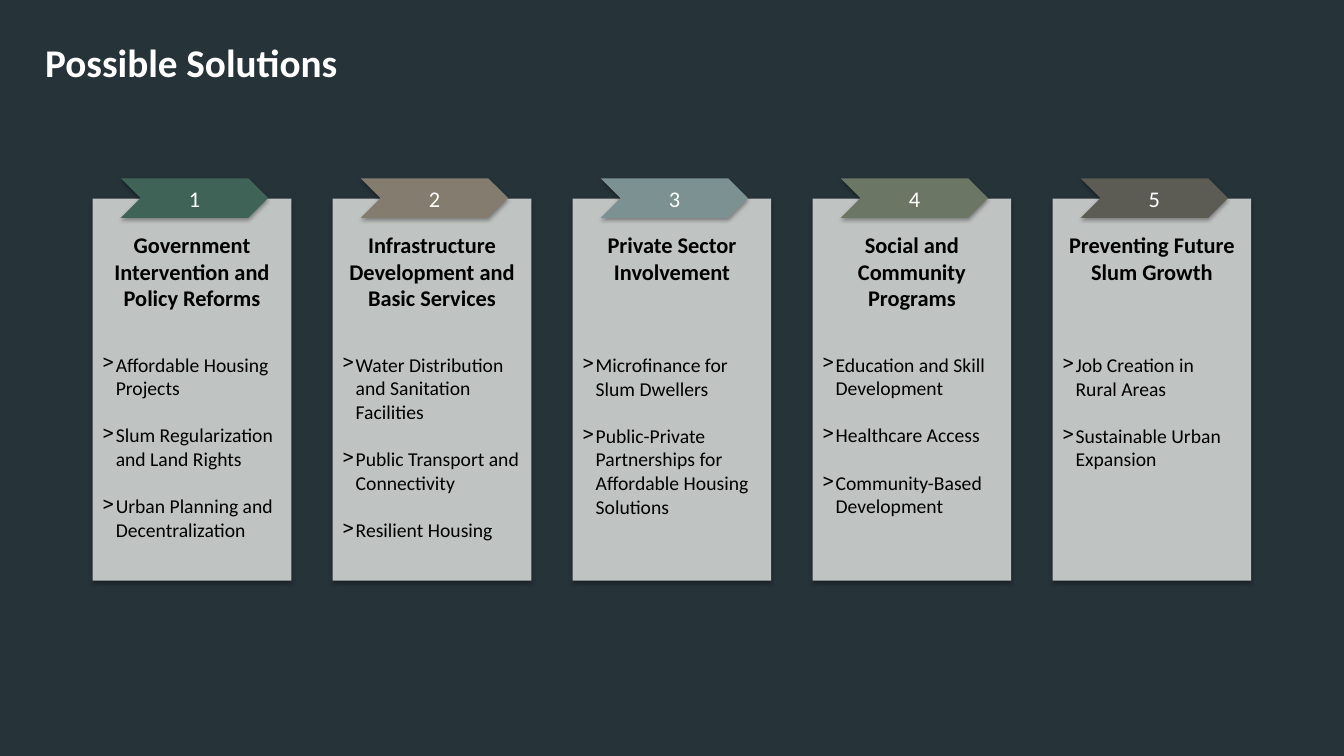
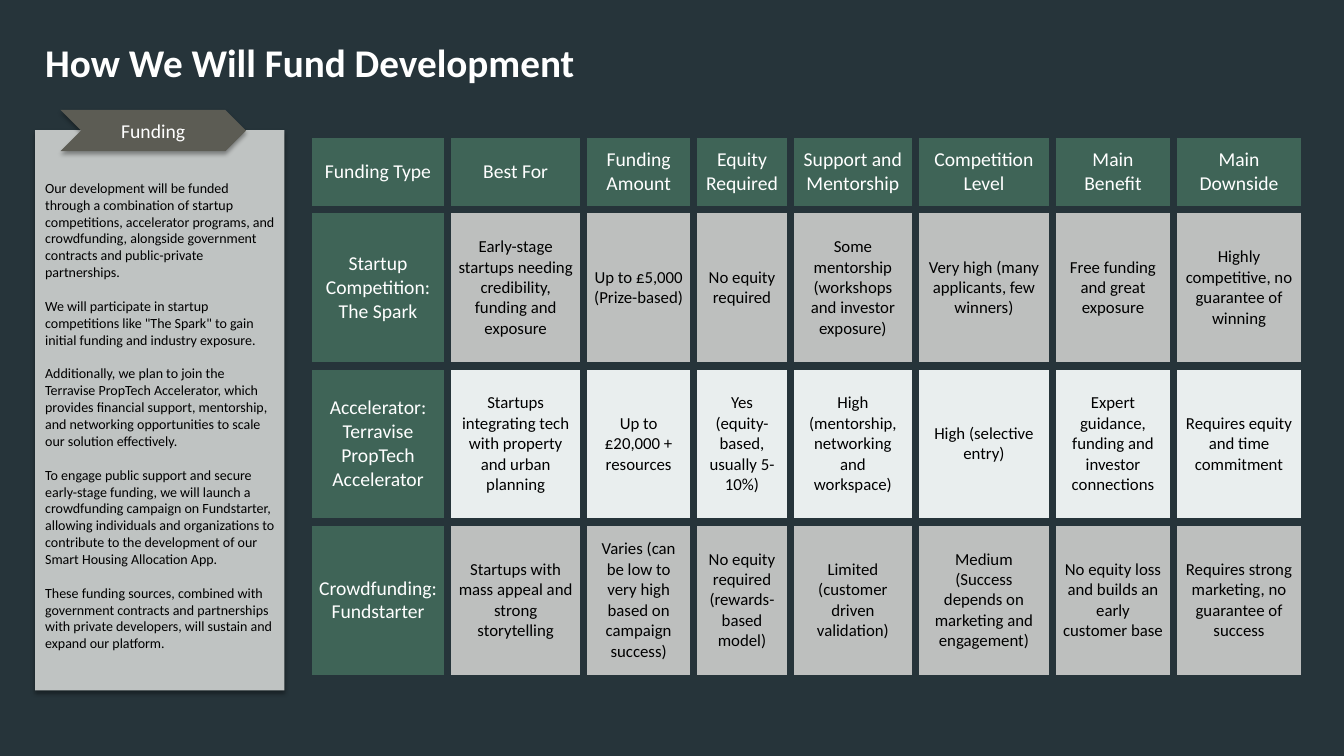
from lxml import etree
from pptx import Presentation
from pptx.dml.color import RGBColor
from pptx.enum import shapes, text
from pptx.oxml import parse_xml
from pptx.oxml.ns import nsdecls, qn
from pptx.util import Inches, Pt

FONT = "Calibri"
DARK, WHITE, BLACK = "26343A", "FFFFFF", "000000"
PANEL, GREEN, STONE = "BFC3C2", "3F6457", "5C5C54"
CENTER, LEFT = text.PP_ALIGN.CENTER, text.PP_ALIGN.LEFT
TOP, MIDDLE = text.MSO_ANCHOR.TOP, text.MSO_ANCHOR.MIDDLE
RECT, CHEVRON = shapes.MSO_SHAPE.RECTANGLE, shapes.MSO_SHAPE.CHEVRON


def write(tf, lines, size=14, color=BLACK, bold=False, align=CENTER, lead=0, gap=0, bullet=None):
    """Add paragraphs: lead is the space before the first, gap before the others (points)."""
    for i, line in enumerate(lines):
        p = tf.add_paragraph() if tf.text else tf.paragraphs[0]
        p.text = line
        p.alignment = align
        p.space_before = Pt(gap if i else lead)
        if bullet:
            pPr = p._p.get_or_add_pPr()
            pPr.set("marL", str(Inches(0.13)))
            pPr.set("indent", str(-Inches(0.13)))
            etree.SubElement(pPr, qn("a:buChar")).set("char", bullet)
        for r in p.runs:
            r.font.name, r.font.size, r.font.bold = FONT, Pt(size), bold
            r.font.color.rgb = RGBColor.from_string(color)


def shadowed(s, kind, x, y, w, h, fill, anchor=MIDDLE, inset=0.05):
    """Add a borderless shape with a soft shadow below it and return its text frame."""
    sp = s.shapes.add_shape(kind, Inches(x), Inches(y), Inches(w), Inches(h))
    sp.fill.solid()
    sp.fill.fore_color.rgb = RGBColor.from_string(fill)
    sp.line.fill.background()
    sp.shadow.inherit = False
    sp._element.spPr.find(qn("a:effectLst")).append(parse_xml(
        f'<a:outerShdw {nsdecls("a")} blurRad="{Pt(3.1)}" dist="{Pt(1.8)}" dir="5400000" '
        f'rotWithShape="0"><a:srgbClr val="{BLACK}"><a:alpha val="35000"/></a:srgbClr></a:outerShdw>'))
    tf = sp.text_frame
    tf.word_wrap = True
    tf.vertical_anchor = anchor
    tf.margin_top = Inches(inset)
    return tf


prs = Presentation()
prs.slide_width, prs.slide_height = Inches(13.33), Inches(7.5)
master_fill = prs.slide_master.background.fill
master_fill.solid()
master_fill.fore_color.rgb = RGBColor.from_string(DARK)

for title in ("Possible Solutions", "How We Will Fund Development"):
    s = prs.slides.add_slide(prs.slide_layouts[6])
    tf = s.shapes.add_textbox(Inches(0.35), Inches(0.33), Inches(5.79), Inches(0.57)).text_frame
    tf.word_wrap = True
    write(tf, [title], size=28, color=WHITE, bold=True, align=LEFT)
solutions, funding = prs.slides

# Solutions: heading, number of lines it takes, tab colour, points
cards = [
    ("Government Intervention and Policy Reforms", 3, GREEN,
     ["Affordable Housing Projects", "Slum Regularization and Land Rights",
      "Urban Planning and Decentralization"]),
    ("Infrastructure Development and Basic Services", 3, "847C6F",
     ["Water Distribution and Sanitation Facilities", "Public Transport and Connectivity",
      "Resilient Housing"]),
    ("Private Sector Involvement", 2, "7C9192",
     ["Microfinance for\vSlum Dwellers",
      "Public-Private Partnerships for Affordable Housing Solutions"]),
    ("Social and Community Programs", 3, "6B7665",
     ["Education and Skill Development", "Healthcare Access", "Community-Based Development"]),
    ("Preventing Future Slum Growth", 2, STONE,
     ["Job Creation in\vRural Areas", "Sustainable Urban Expansion"]),
]
HEADING_LINE = 19.5
for i, (heading, heading_lines, color, points) in enumerate(cards):
    x = 0.92 + 2.38 * i
    tf = shadowed(solutions, RECT, x, 1.97, 1.97, 3.79, PANEL, TOP, 0.32)
    write(tf, [heading], size=16, bold=True)
    write(tf, points, align=LEFT, lead=29.3 + HEADING_LINE * (3 - heading_lines),
          gap=17, bullet=">")
    tf = shadowed(solutions, CHEVRON, x + 0.28, 1.77, 1.46, 0.39, color)
    write(tf, [str(i + 1)], size=16, color=WHITE)

# Funding: comparison table
rows = [
    ["Funding Type", "Best For", "Funding Amount", "Equity Required", "Support and Mentorship",
     "Competition Level", "Main Benefit", "Main Downside"],
    ["Startup Competition:\nThe Spark",
     "Early-stage startups needing credibility, funding and exposure",
     "Up to £5,000 (Prize-based)", "No equity required",
     "Some mentorship (workshops and investor exposure)",
     "Very high (many applicants, few winners)", "Free funding and great exposure",
     "Highly competitive, no guarantee of winning"],
    ["Accelerator: Terravise PropTech Accelerator",
     "Startups integrating tech with property and urban planning",
     "Up to £20,000 + resources", "Yes (equity-based, usually 5-10%)",
     "High (mentorship, networking and workspace)", "High (selective entry)",
     "Expert guidance, funding and investor connections",
     "Requires equity and time commitment"],
    ["Crowdfunding: Fundstarter", "Startups with mass appeal and strong storytelling",
     "Varies (can be low to very high based on campaign success)",
     "No equity required (rewards-based model)", "Limited (customer driven validation)",
     "Medium (Success depends on marketing and engagement)",
     "No equity loss and builds an early customer base",
     "Requires strong marketing, no guarantee of success"],
]
col_widths = [1.38, 1.35, 1.09, 0.96, 1.24, 1.36, 1.2, 1.3]
row_heights = [0.75, 1.55, 1.55, 1.55]
table = funding.shapes.add_table(len(rows), len(col_widths), Inches(3.06), Inches(1.33),
                                 Inches(sum(col_widths)), Inches(sum(row_heights))).table
table.first_row = table.horz_banding = False
for col, width in zip(table.columns, col_widths):
    col.width = Inches(width)
for row, height in zip(table.rows, row_heights):
    row.height = Inches(height)
for i, row in enumerate(rows):
    for j, value in enumerate(row):
        cell = table.cell(i, j)
        header = i == 0 or j == 0
        cell.vertical_anchor = MIDDLE
        write(cell.text_frame, value.split("\n"), size=14 if header else 12,
              color=WHITE if header else BLACK)
        tcPr = cell._tc.get_or_add_tcPr()
        for side in "LRTB":
            tcPr.append(parse_xml(
                f'<a:ln{side} {nsdecls("a")} w="{Pt(6)}"><a:solidFill>'
                f'<a:srgbClr val="{DARK}"/></a:solidFill></a:ln{side}>'))
        cell.fill.solid()
        cell.fill.fore_color.rgb = RGBColor.from_string(
            GREEN if header else "BDBFBE" if i % 2 else "E9EEEE")

# Funding: summary panel
summary = [
    "Our development will be funded through a combination of startup competitions, accelerator "
    "programs, and crowdfunding, alongside government contracts and public-private partnerships.",
    'We will participate in startup competitions like "The Spark" to gain initial funding and '
    "industry exposure.",
    "Additionally, we plan to join the Terravise PropTech Accelerator, which provides financial "
    "support, mentorship, and networking opportunities to scale our solution effectively.",
    "To engage public support and secure early-stage funding, we will launch a crowdfunding "
    "campaign on Fundstarter, allowing individuals and organizations to contribute to the "
    "development of our Smart Housing Allocation App.",
    "These funding sources, combined with government contracts and partnerships with private "
    "developers, will sustain and expand our platform.",
]
tf = shadowed(funding, RECT, 0.35, 1.29, 2.47, 5.56, PANEL, TOP, 0.49)
write(tf, summary, size=10, align=LEFT, gap=12.2)
tf = shadowed(funding, CHEVRON, 0.6, 1.09, 1.84, 0.41, STONE)
write(tf, ["Funding"], color=WHITE)

prs.save("out.pptx")
